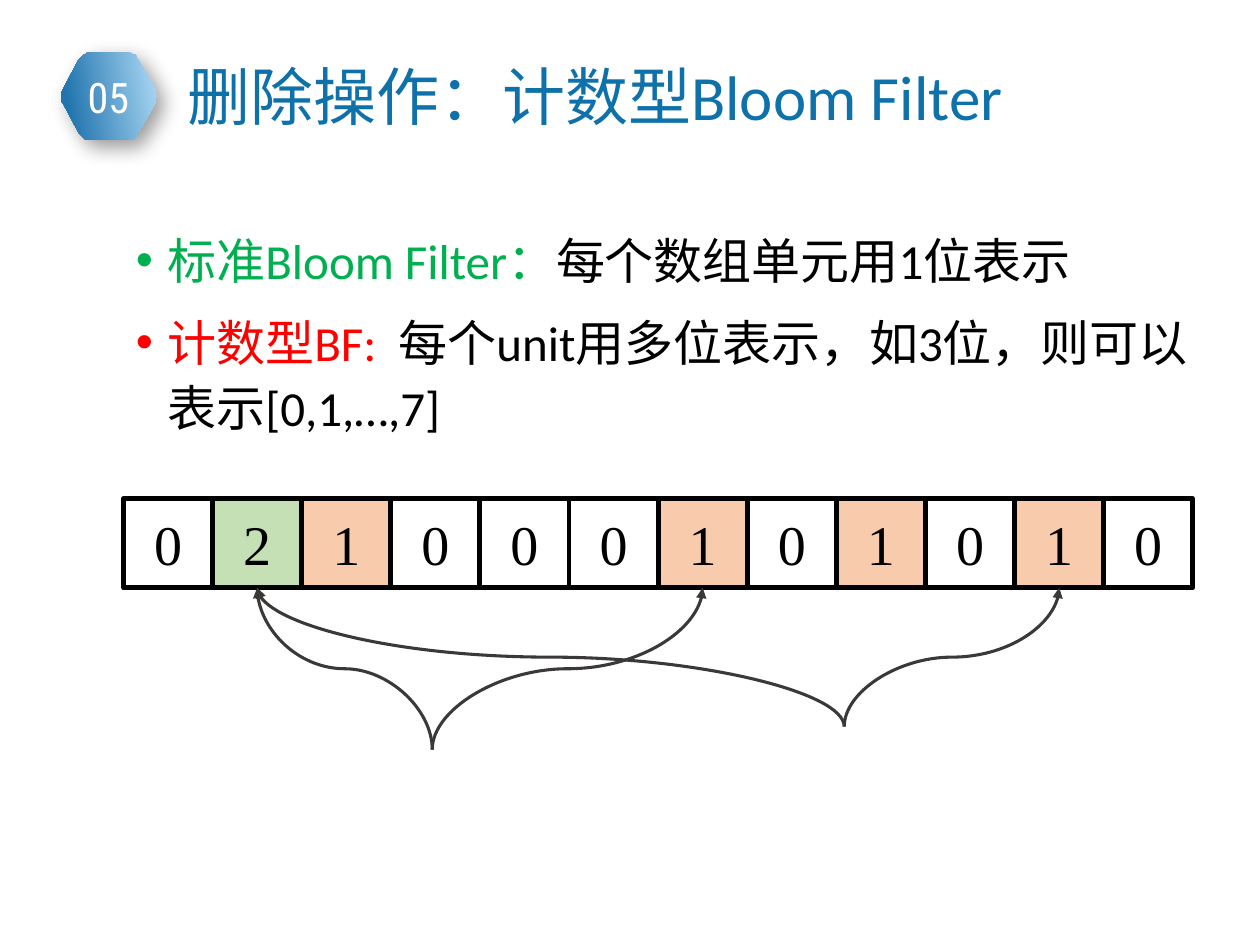
from collections import namedtuple
from dataclasses import dataclass
from math import dist

from lxml.etree import SubElement
from pptx import Presentation
from pptx.dml.color import RGBColor
from pptx.enum.shapes import MSO_CONNECTOR, MSO_SHAPE
from pptx.enum.text import MSO_ANCHOR, PP_ALIGN
from pptx.oxml.ns import qn
from pptx.util import Pt

Box = namedtuple("Box", "left top width height")


@dataclass(frozen=True)
class Theme:
    """Colours, fonts and type sizes of the deck."""
    title: str = "0E71AA"
    green: str = "00B050"
    red: str = "FF0000"
    black: str = "000000"
    white: str = "FFFFFF"
    arrow: str = "3B3838"
    badge_light: str = "AFDBF6"
    badge_dark: str = "2174AE"
    shared_cell: str = "C5E0B4"
    set_cell: str = "F8CBAD"
    text_font: str = "Calibri"
    badge_font: str = "Roboto Condensed"
    cell_font: str = "Times New Roman"
    title_size: int = 36
    body_size: int = 28
    badge_size: int = 24
    cell_size: int = 32


THEME = Theme()


def rgb(code):
    """Turn a hex code into a colour."""
    return RGBColor.from_string(code)


def style_span(span, font, size, color):
    """Set font, size and colour of a run."""
    span.font.name = font
    span.font.size = Pt(size)
    span.font.color.rgb = rgb(color)


def add_text_box(page, box):
    """Add a wrapping text box and return its text frame."""
    frame = page.shapes.add_textbox(*map(Pt, box)).text_frame
    frame.word_wrap = True
    return frame


def set_line(frame, text, font, size, color, align=PP_ALIGN.LEFT):
    """Fill a text frame with one formatted paragraph."""
    frame.text = text
    para = frame.paragraphs[0]
    para.alignment = align
    style_span(para.runs[0], font, size, color)


def rounded_outline(corners, cut, steps=6):
    """Return the outline of a polygon with its corners rounded."""
    points = []
    for index, corner in enumerate(corners):
        ends = []
        for other in (corners[index - 1], corners[(index + 1) % len(corners)]):
            share = cut / dist(corner, other)
            ends.append([c + (o - c) * share for c, o in zip(corner, other)])
        for step in range(steps + 1):
            t = step / steps
            points.append([(1 - t) ** 2 * a + 2 * t * (1 - t) * c + t ** 2 * b
                           for a, c, b in zip(ends[0], corner, ends[1])])
    return points


def add_soft_shadow(shape):
    """Give a shape a soft shadow to the lower right."""
    effects = SubElement(shape.element.spPr, qn("a:effectLst"))
    shadow = SubElement(effects, qn("a:outerShdw"), blurRad=str(Pt(12)),
                        dist=str(Pt(6)), dir="2700000", algn="tl", rotWithShape="0")
    color = SubElement(shadow, qn("a:srgbClr"), val=THEME.black)
    SubElement(color, qn("a:alpha"), val="40000")


def add_badge(page, box, number):
    """Draw the rounded hexagon with the section number."""
    right, bottom = box.left + box.width, box.top + box.height
    middle, bevel, tip = box.top + box.height / 2, 12.4, 1
    corners = [(box.left - tip, middle), (box.left + bevel, box.top),
               (right - bevel, box.top), (right + tip, middle),
               (right - bevel, bottom), (box.left + bevel, bottom)]
    start, *rest = rounded_outline(corners, 4.2)
    builder = page.shapes.build_freeform(*start, scale=Pt(1))
    builder.add_line_segments(rest, close=True)
    hexagon = builder.convert_to_shape()
    hexagon.line.fill.background()
    hexagon.fill.gradient()
    hexagon.fill.gradient_angle = 190
    stops = ((0, THEME.badge_light), (0.9, THEME.badge_dark))
    for stop, (position, color) in zip(hexagon.fill.gradient_stops, stops):
        stop.position = position
        stop.color.rgb = rgb(color)
    add_soft_shadow(hexagon)
    frame = add_text_box(page, Box(box.left - 8.6, box.top + 7.2, 72, 36))
    set_line(frame, number, THEME.badge_font, THEME.badge_size, THEME.white,
             PP_ALIGN.CENTER)


def add_title(page, box, text):
    """Write the slide title."""
    set_line(add_text_box(page, box), text, THEME.text_font, THEME.title_size,
             THEME.title)


def add_bullets(page, box, items):
    """Write bullets, each with a coloured lead and a black explanation."""
    frame = add_text_box(page, box)
    for index, (lead, detail, color) in enumerate(items):
        para = frame.add_paragraph() if index else frame.paragraphs[0]
        para.line_spacing = 1.1
        para.space_before = Pt(10)
        properties = para._p.get_or_add_pPr()
        properties.set("marL", str(Pt(18)))
        properties.set("indent", str(Pt(-18)))
        SubElement(properties, qn("a:buFont"), typeface="Arial")
        SubElement(properties, qn("a:buChar"), char="•")
        for text, shade in ((lead, color), (detail, THEME.black)):
            span = para.add_run()
            span.text = text
            style_span(span, THEME.text_font, THEME.body_size, shade)


def add_counter_row(page, box, counts):
    """Draw the counter cells and return the bottom centre of each."""
    fills = {0: THEME.white, 1: THEME.set_cell, 2: THEME.shared_cell}
    width = box.width / len(counts)
    anchors = []
    for index, count in enumerate(counts):
        left = box.left + index * width
        cell = page.shapes.add_shape(
            MSO_SHAPE.RECTANGLE, *map(Pt, (left, box.top, width, box.height)))
        cell.shadow.inherit = False
        cell.fill.solid()
        cell.fill.fore_color.rgb = rgb(fills[count])
        cell.line.color.rgb = rgb(THEME.black)
        cell.line.width = Pt(2.75)
        cell.text_frame.vertical_anchor = MSO_ANCHOR.MIDDLE
        set_line(cell.text_frame, str(count), THEME.cell_font, THEME.cell_size,
                 THEME.black, PP_ALIGN.CENTER)
        anchors.append((left + width / 2, box.top + box.height))
    return anchors


def add_hash_arrow(page, source, target):
    """Draw a curved arrow that leaves and arrives vertically."""
    center_x, center_y = ((a + b) / 2 for a, b in zip(source, target))
    rise, span = source[1] - target[1], abs(target[0] - source[0])
    side = 1 if target[0] > source[0] else -1
    ends = (center_x + side * rise / 2, center_y + span / 2,
            center_x - side * rise / 2, center_y - span / 2)
    arrow = page.shapes.add_connector(MSO_CONNECTOR.CURVE, *map(Pt, ends))
    arrow.line.color.rgb = rgb(THEME.arrow)
    arrow.line.width = Pt(1.75)
    properties = arrow.element.spPr
    properties.find(qn("a:xfrm")).set("rot", str((90 if side > 0 else 270) * 60000))
    SubElement(properties.find(qn("a:ln")), qn("a:tailEnd"), type="triangle")
    SubElement(properties, qn("a:effectLst"))


def main():
    """Build and save the slide."""
    deck = Presentation()
    deck.slide_width, deck.slide_height = Pt(720), Pt(540)
    page = deck.slides.add_slide(deck.slide_layouts[6])
    add_badge(page, Box(34.6, 30.3, 55, 49.7), "05")
    add_bullets(page, Box(70.6, 124.6, 620.6, 145.4), [
        ("标准Bloom Filter：", "每个数组单元用1位表示", THEME.green),
        ("计数型BF:  ", "每个unit用多位表示，如3位，则可以表示[0,1,…,7]", THEME.red),
    ])
    add_title(page, Box(100, 29.5, 484.6, 51), "删除操作：计数型Bloom Filter")
    anchors = add_counter_row(page, Box(70.6, 284.9, 611, 51),
                              [0, 2, 1, 0, 0, 0, 1, 0, 1, 0, 1, 0])
    for source, cells in (((247, 428.4), (1, 6)), ((482.4, 415.2), (1, 10))):
        for cell in cells:
            add_hash_arrow(page, source, anchors[cell])
    deck.save("out.pptx")


if __name__ == "__main__":
    main()
